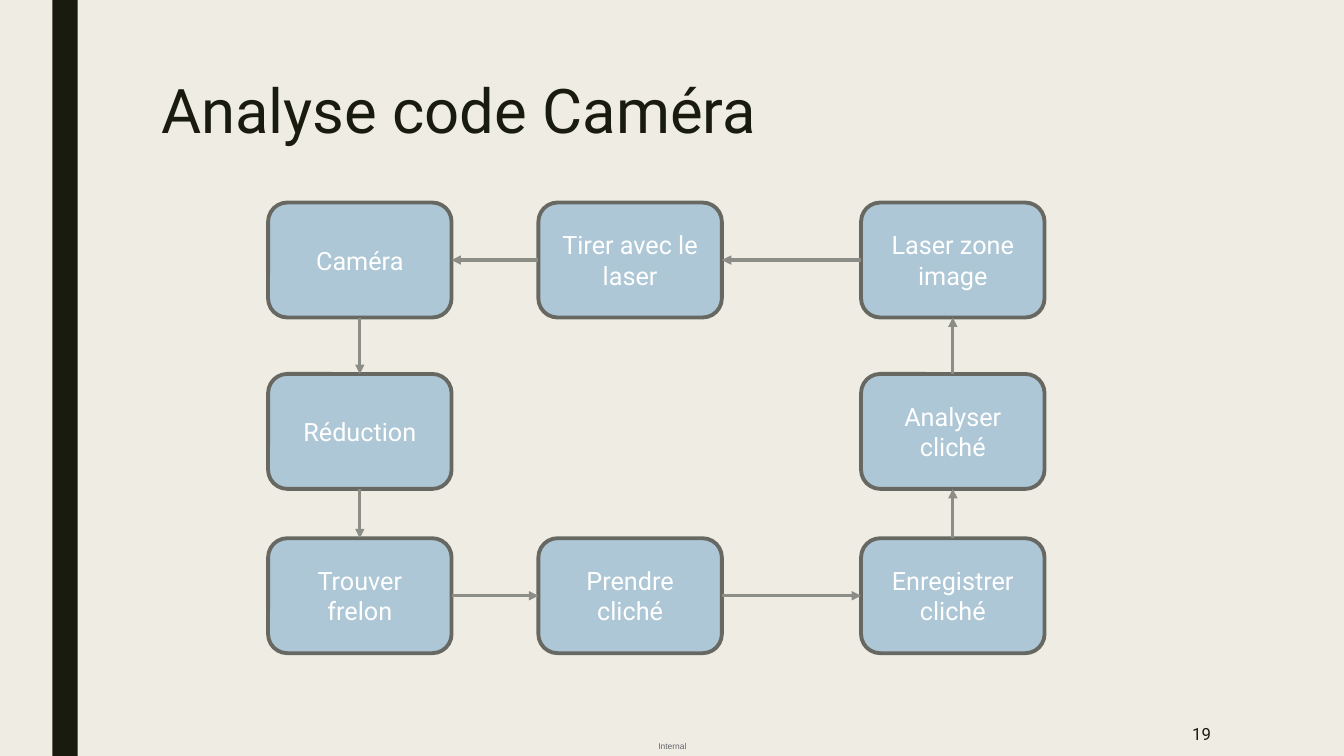
from itertools import pairwise
from lxml.etree import SubElement
from pptx import Presentation
from pptx.dml.color import RGBColor
from pptx.enum.shapes import MSO_CONNECTOR, MSO_SHAPE
from pptx.enum.text import MSO_ANCHOR, PP_ALIGN
from pptx.oxml.ns import qn
from pptx.util import Inches, Pt

COLORS = {"paper": "EFEDE3", "ink": "191B0E", "box": "ADC7D6", "edge": "686863",
          "arrow": "8C8D86", "white": "FFFFFF", "label": "626469"}
COLS = [19.95, 40.06, 64.07]
ROWS = [26.8, 49.47, 71.2]
CELL = (13.65, 15.2)
SITES = {(0, -1): 0, (-1, 0): 1, (0, 1): 2, (1, 0): 3}
STEPS = [("Caméra", 0, 0), ("Réduction", 0, 1), ("Trouver frelon", 0, 2),
         ("Prendre cliché", 1, 2), ("Enregistrer cliché", 2, 2),
         ("Analyser cliché", 2, 1), ("Laser zone image", 2, 0),
         ("Tirer avec le laser", 1, 0)]


def color(name):
    return RGBColor.from_string(COLORS[name])


def write(shape, text, size=18, ink="ink", font="Roboto", align=PP_ALIGN.LEFT,
          anchor=MSO_ANCHOR.MIDDLE, space=None, inset=None):
    frame = shape.text_frame
    frame.word_wrap = True
    frame.vertical_anchor = anchor
    if inset is not None:
        frame.margin_left = frame.margin_right = inset
        frame.margin_top = frame.margin_bottom = inset
    line = frame.paragraphs[0]
    line.alignment = align
    line.line_spacing = space
    run = line.add_run()
    run.text = text
    run.font.size = Pt(size)
    run.font.name = font
    run.font.color.rgb = color(ink)


class Deck:
    """Draws styled elements on one slide, placed by percent of its size."""

    def __init__(self):
        self.file = Presentation()
        self.file.slide_width = Inches(13.33)
        self.file.slide_height = Inches(7.5)
        self.slide = self.file.slides.add_slide(self.file.slide_layouts[6])
        self.slide.background.fill.solid()
        self.slide.background.fill.fore_color.rgb = color("paper")

    def place(self, *shares):
        sides = (self.file.slide_width, self.file.slide_height) * 2
        return [round(side * share / 100) for side, share in zip(sides, shares)]

    def shape(self, kind, area, fill, edge=None):
        item = self.slide.shapes.add_shape(kind, *self.place(*area))
        item.shadow.inherit = False
        item.fill.solid()
        item.fill.fore_color.rgb = color(fill)
        if edge:
            item.line.color.rgb = color(edge)
            item.line.width = Pt(2.75)
        else:
            item.line.fill.background()
        return item

    def text(self, text, area, **style):
        write(self.slide.shapes.add_textbox(*self.place(*area)), text, **style)

    def step(self, text, col, row):
        area = (COLS[col], ROWS[row], *CELL)
        item = self.shape(MSO_SHAPE.ROUNDED_RECTANGLE, area, "box", "edge")
        write(item, text, ink="white", align=PP_ALIGN.CENTER)
        return item

    def arrow(self, start, end, course):
        dx, dy = course
        link = self.slide.shapes.add_connector(MSO_CONNECTOR.STRAIGHT, 0, 0, 0, 0)
        link.begin_connect(start, SITES[dx, dy])
        link.end_connect(end, SITES[-dx, -dy])
        link.line.color.rgb = color("arrow")
        link.line.width = Pt(2.25)
        props = link._element.spPr
        SubElement(props.find(qn("a:ln")), qn("a:tailEnd"), type="triangle")
        SubElement(props, qn("a:effectLst"))


def main():
    deck = Deck()
    deck.shape(MSO_SHAPE.RECTANGLE, (3.9, 0, 1.88, 100), "ink")
    deck.text("Internal", (48.16, 97.33, 3.75, 2.67), size=6, ink="label",
              font="Arial", align=PP_ALIGN.CENTER, inset=0)
    deck.text("Analyse code Caméra", (11.25, 10, 78.77, 10.53), size=44,
              anchor=MSO_ANCHOR.TOP, space=0.89)
    deck.text("19", (77.72, 94.13, 13.13, 5.87), size=12, align=PP_ALIGN.RIGHT)
    nodes = [(deck.step(*step), *step[1:]) for step in STEPS]
    for (start, col, row), (end, right, down) in pairwise(nodes + nodes[:1]):
        deck.arrow(start, end, (right - col, down - row))
    deck.file.save("out.pptx")


if __name__ == "__main__":
    main()
